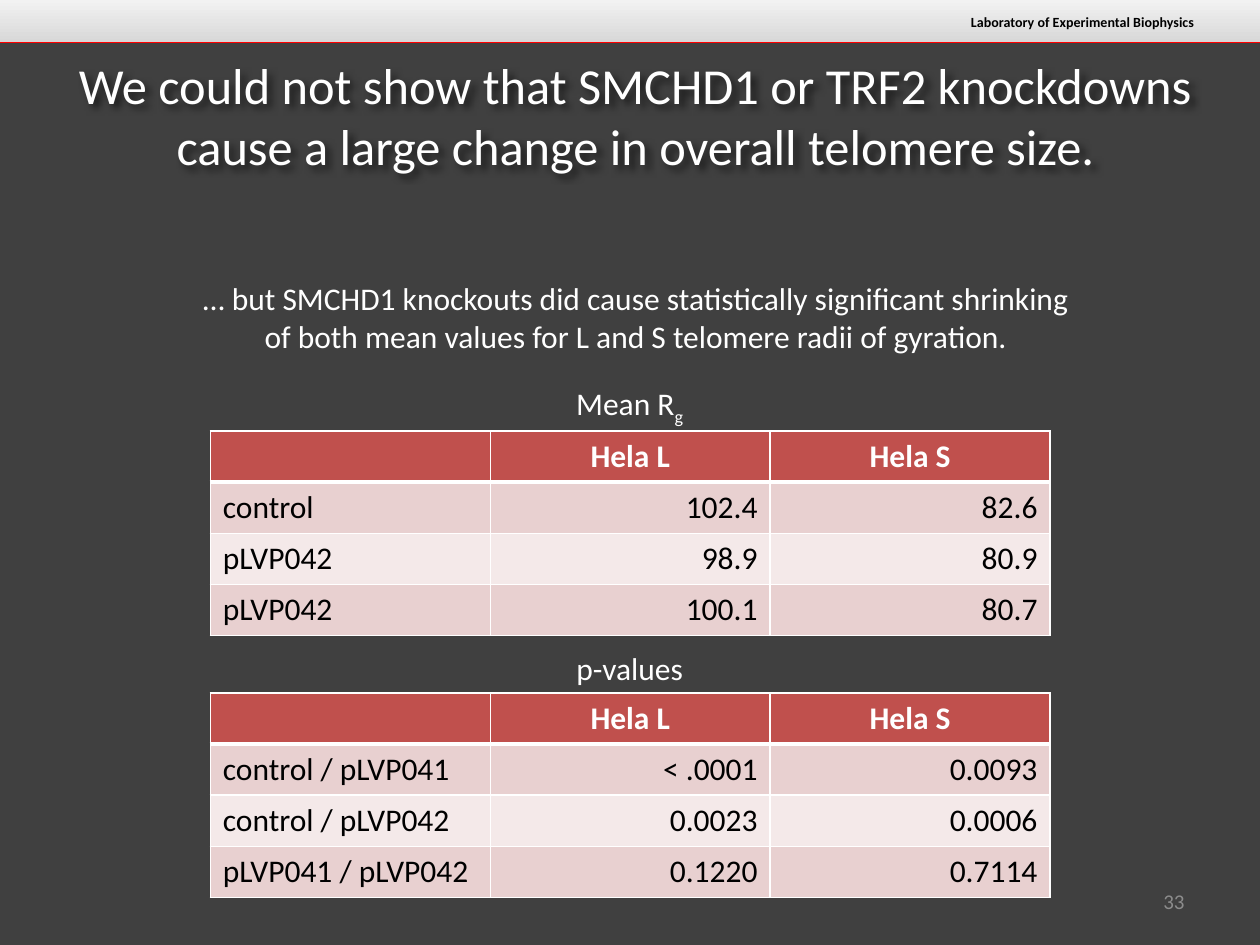
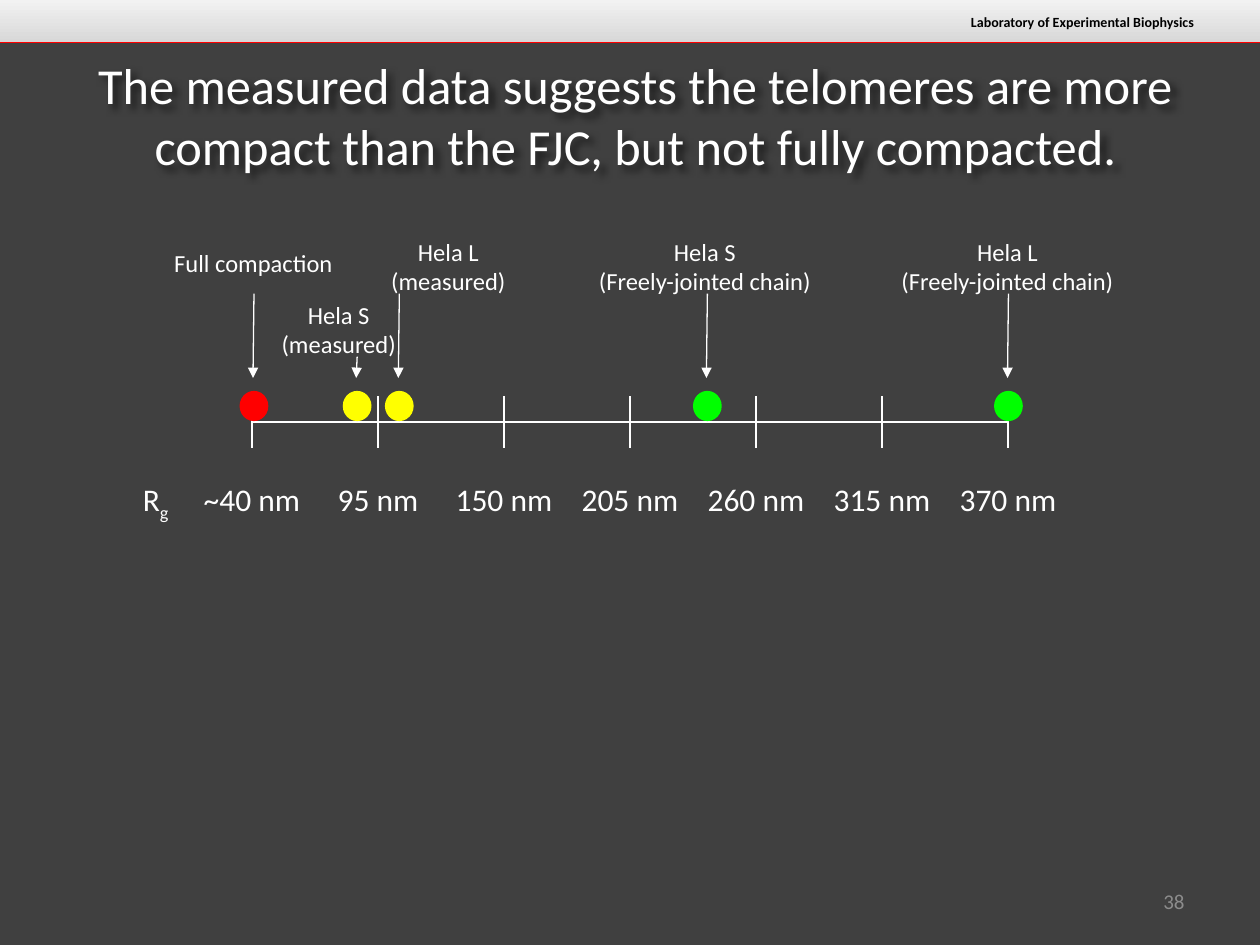
import pptx
import pptx.util
from lxml import etree
from pptx.dml.color import RGBColor
from pptx.enum.shapes import MSO_CONNECTOR, MSO_SHAPE
from pptx.enum.text import MSO_ANCHOR, MSO_AUTO_SIZE, PP_ALIGN
from pptx.oxml import parse_xml
from pptx.oxml.ns import nsdecls, qn
from pptx.util import Cm

FONT = "Calibri"
BACKGROUND = RGBColor(0x40, 0x40, 0x40)
WHITE = RGBColor(0xFF, 0xFF, 0xFF)
BLACK = RGBColor(0x00, 0x00, 0x00)
GREY = RGBColor(0x8C, 0x8C, 0x8C)
BAND_DARK = RGBColor(0xD8, 0xD8, 0xD8)
BAND_LIGHT = RGBColor(0xF2, 0xF2, 0xF2)
RED = RGBColor(0xFF, 0x00, 0x00)
YELLOW = RGBColor(0xFF, 0xFF, 0x00)
GREEN = RGBColor(0x00, 0xFF, 0x00)
HEADER = RGBColor(0xC0, 0x50, 0x4D)
ROW_FILLS = [RGBColor(0xF4, 0xE9, 0xE9), RGBColor(0xE8, 0xD0, 0xD0)]


def write(tf, text, size=18, color=WHITE, bold=False, align=PP_ALIGN.CENTER):
    """Fill a text frame; a newline starts a paragraph, "_" starts a subscript."""
    tf.word_wrap = True
    for i, row in enumerate(text.split("\n")):
        p = tf.add_paragraph() if i else tf.paragraphs[0]
        p.alignment = align
        for j, part in enumerate(row.split("_")):
            r = p.add_run()
            r.text = part
            r.font.name, r.font.size, r.font.bold = FONT, pptx.util.Pt(size), bold
            r.font.color.rgb = color
            if j:
                r._r.get_or_add_rPr().set("baseline", "-25000")


def line(s, x1, y1, x2, y2, color=WHITE, width=1.5, arrow=False):
    c = s.shapes.add_connector(MSO_CONNECTOR.STRAIGHT, Cm(x1), Cm(y1), Cm(x2), Cm(y2))
    c.line.color.rgb = color
    c.line.width = pptx.util.Pt(width)
    if arrow:
        etree.SubElement(c.line._get_or_add_ln(), qn("a:tailEnd"), type="triangle")
    etree.SubElement(c._element.spPr, qn("a:effectLst"))


prs = pptx.Presentation()
prs.slide_width, prs.slide_height = Cm(25.4), Cm(19.05)
prs.slide_master.background.fill.solid()
prs.slide_master.background.fill.fore_color.rgb = BACKGROUND

# Shared frame: band, title and slide number
pages = [
    ("We could not show that SMCHD1 or TRF2 knockdowns cause a large change "
     "in overall telomere size.", "33"),
    ("The measured data suggests the telomeres are more compact than the FJC, "
     "but not fully compacted.", "38"),
]
for title, number in pages:
    s = prs.slides.add_slide(prs.slide_layouts[5])
    band = s.shapes.add_shape(MSO_SHAPE.RECTANGLE, 0, 0, prs.slide_width, Cm(0.85))
    band.shadow.inherit = False
    band.line.fill.background()
    band.fill.gradient()
    band.fill.gradient_angle = 90
    for stop, position, color in zip(band.fill.gradient_stops, (0, 1), (BAND_DARK, BAND_LIGHT)):
        stop.position, stop.color.rgb = position, color
    tb = s.shapes.add_textbox(Cm(19.2), Cm(0.15), Cm(5.13), Cm(0.61))
    write(tb.text_frame, "Laboratory of Experimental Biophysics", size=8, color=BLACK,
          bold=True, align=PP_ALIGN.RIGHT)
    line(s, 0, 0.85, 25.4, 0.85, color=RED, width=0.75)

    sp = s.shapes.title
    sp.left, sp.top, sp.width, sp.height = Cm(0.43), Cm(0.97), Cm(24.77), Cm(1.57)
    sp.text_frame.auto_size = MSO_AUTO_SIZE.NONE
    sp.text_frame.vertical_anchor = MSO_ANCHOR.TOP
    write(sp.text_frame, title, size=28.8)
    sp._element.spPr.append(parse_xml(
        f'<a:effectLst {nsdecls("a")}><a:outerShdw blurRad="50800" dist="38100" dir="2700000">'
        '<a:srgbClr val="000000"><a:alpha val="60000"/></a:srgbClr>'
        '</a:outerShdw></a:effectLst>'))

    tb = s.shapes.add_textbox(Cm(18.2), Cm(17.65), Cm(5.93), Cm(1.02))
    tb.text_frame.vertical_anchor = MSO_ANCHOR.MIDDLE
    write(tb.text_frame, number, size=12, color=GREY, align=PP_ALIGN.RIGHT)

results, scale = prs.slides

# Slide 1: statement and two tables
tb = results.shapes.add_textbox(Cm(3.61), Cm(5.51), Cm(18.42), Cm(1.8))
write(tb.text_frame, "… but SMCHD1 knockouts did cause statistically significant shrinking "
      "of both mean values for L and S telomere radii of gyration.")

heads = ("", "Hela L", "Hela S")
tables = [
    ("Mean R_g", 7.62, 8.69, [heads, ("control", "102.4", "82.6"),
                              ("pLVP042", "98.9", "80.9"),
                              ("pLVP042", "100.1", "80.7")]),
    ("p-values", 12.95, 13.97, [heads, ("control / pLVP041", "< .0001", "0.0093"),
                                ("control / pLVP042", "0.0023", "0.0006"),
                                ("pLVP041 / pLVP042", "0.1220", "0.7114")]),
]
for caption, caption_top, top, rows in tables:
    table = results.shapes.add_table(4, 3, Cm(4.24), Cm(top), Cm(16.93), Cm(4.12)).table
    for i, row in enumerate(rows):
        for j, text in enumerate(row):
            cell = table.cell(i, j)
            if i == 0:
                fill, color, align = HEADER, WHITE, PP_ALIGN.CENTER
            else:
                fill, color = ROW_FILLS[i % 2], BLACK
                align = PP_ALIGN.RIGHT if j else PP_ALIGN.LEFT
            write(cell.text_frame, text, color=color, bold=i == 0, align=align)
            # Borders come before the fill in the cell properties
            for side in ("lnL", "lnR", "lnT", "lnB"):
                thick = (i, side) in ((0, "lnB"), (1, "lnT"))
                cell._tc.get_or_add_tcPr().append(parse_xml(
                    f'<a:{side} {nsdecls("a")} w="{38100 if thick else 12700}">'
                    f'<a:solidFill><a:srgbClr val="{WHITE}"/></a:solidFill></a:{side}>'))
            cell.fill.solid()
            cell.fill.fore_color.rgb = fill
    tb = results.shapes.add_textbox(Cm(10.37), Cm(caption_top), Cm(4.65), Cm(1.02))
    write(tb.text_frame, caption)

# Slide 2: scale with ticks and values
START, STEP, AXIS = 5.08, 2.54, 8.51
line(scale, START, AXIS, START + 6 * STEP, AXIS)
values = ["~40 nm", "95 nm", "150 nm", "205 nm", "260 nm", "315 nm", "370 nm"]
for i, value in enumerate(values):
    x = START + i * STEP
    line(scale, x, AXIS + 0.52, x, AXIS - 0.52)
    tb = scale.shapes.add_textbox(Cm(x - 1.43), Cm(9.55), Cm(2.86), Cm(1.02))
    write(tb.text_frame, value)
tb = scale.shapes.add_textbox(Cm(1.83), Cm(9.55), Cm(2.62), Cm(1.02))
write(tb.text_frame, "R_g")

# Markers: colour, centre, label, label centre, label top, arrow start
markers = [
    (RED, 5.12, "Full compaction", 5.11, 4.88, 5.92),
    (YELLOW, 7.2, "Hela S\n(measured)", 6.83, 5.92, 7.19),
    (YELLOW, 8.05, "Hela L\n(measured)", 9.04, 4.65, 5.92),
    (GREEN, 14.26, "Hela S\n(Freely-jointed chain)", 14.21, 4.65, 5.92),
    (GREEN, 20.33, "Hela L\n(Freely-jointed chain)", 20.31, 4.65, 5.92),
]
for color, x, label, label_x, label_top, arrow_top in markers:
    dot = scale.shapes.add_shape(MSO_SHAPE.OVAL, Cm(x - 0.29), Cm(7.88), Cm(0.58), Cm(0.61))
    dot.shadow.inherit = False
    dot.fill.solid()
    dot.fill.fore_color.rgb = color
    dot.line.fill.background()
    tb = scale.shapes.add_textbox(Cm(label_x - 2.45), Cm(label_top), Cm(4.9), Cm(1.45))
    write(tb.text_frame, label, size=14)
    line(scale, x, arrow_top, x - 0.02, 7.62, width=0.75, arrow=True)

prs.save("out.pptx")
